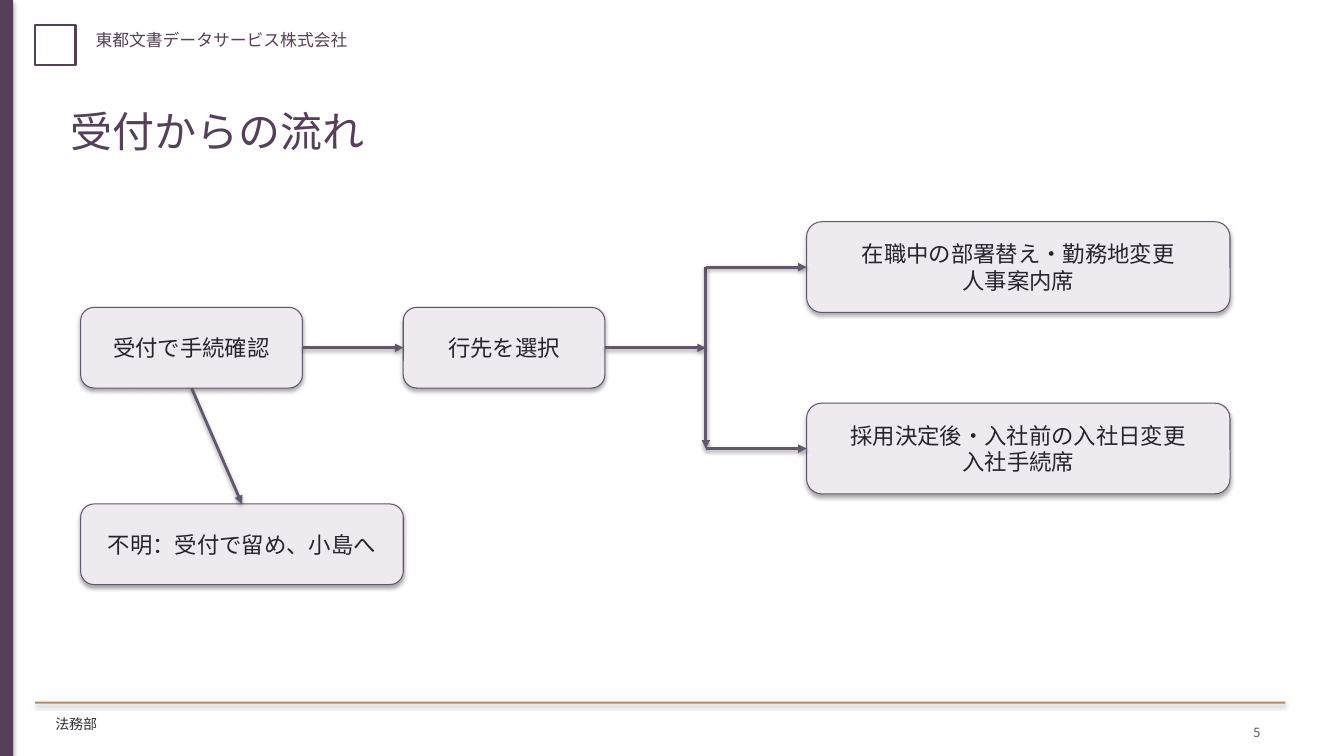
from dataclasses import dataclass
from typing import Optional

import pptx
import pptx.dml.color
import pptx.enum.shapes
import pptx.enum.text
import pptx.oxml.ns
import pptx.util
from lxml import etree

PX = 9144  # EMU; 100 px to the inch
ALIGN = pptx.enum.text.PP_ALIGN
ANCHOR = pptx.enum.text.MSO_ANCHOR
SHAPE = pptx.enum.shapes.MSO_SHAPE
TOP, LEFT, BOTTOM, RIGHT = range(4)


@dataclass(frozen=True)
class Theme:
    font: str = "Noto Sans CJK JP"
    plum: str = "563F58"
    tan: str = "B28B65"
    slate: str = "62586B"
    pale: str = "EEEAF0"
    ink: str = "29232D"
    footer: str = "302F33"
    title_size: int = 30
    box_size: int = 16
    company_size: int = 12
    footer_size: int = 10
    number_size: int = 9


@dataclass(frozen=True)
class Area:
    left: int
    top: int
    width: int
    height: int

    def emu(self) -> list[int]:
        return [n * PX for n in (self.left, self.top, self.width, self.height)]


@dataclass(frozen=True)
class Step:
    name: str
    area: Area
    lines: tuple[str, ...]


@dataclass(frozen=True)
class Label:
    text: str
    area: Area
    size: int
    color: str
    align: ALIGN = ALIGN.LEFT


@dataclass(frozen=True)
class Arrow:
    start: tuple[int, int]
    end: tuple[int, int]
    source: Optional[tuple[str, int]] = None
    target: Optional[tuple[str, int]] = None


THEME = Theme()
TITLE = Label("受付からの流れ", Area(60, 100, 1200, 100), THEME.title_size, THEME.plum)
LABELS = (
    Label("東都文書データサービス株式会社", Area(85, 25, 1000, 40),
          THEME.company_size, THEME.plum),
    Label("法務部", Area(45, 705, 1000, 30), THEME.footer_size, THEME.footer),
    Label("5", Area(1200, 714, 60, 20), THEME.number_size, THEME.slate, ALIGN.RIGHT),
)
BARS = (
    (Area(0, 0, 13, 750), THEME.plum),
    (Area(35, 696, 1240, 2), THEME.tan),
)
STEPS = (
    Step("reception", Area(80, 305, 220, 80), ("受付で手続確認",)),
    Step("choice", Area(400, 305, 200, 80), ("行先を選択",)),
    Step("transfer", Area(800, 220, 420, 90),
         ("在職中の部署替え・勤務地変更", "人事案内席")),
    Step("joining", Area(800, 400, 420, 90),
         ("採用決定後・入社前の入社日変更", "入社手続席")),
    Step("unknown", Area(80, 500, 320, 80), ("不明：受付で留め、小島へ",)),
)
ARROWS = (
    Arrow((300, 345), (400, 345), ("reception", RIGHT), ("choice", LEFT)),
    Arrow((600, 345), (700, 345), ("choice", RIGHT)),
    Arrow((700, 265), (700, 445)),
    Arrow((700, 265), (800, 265), target=("transfer", LEFT)),
    Arrow((700, 445), (800, 445), target=("joining", LEFT)),
    Arrow((190, 385), (190, 500), ("reception", BOTTOM), ("unknown", TOP)),
)


def rgb(color: str) -> pptx.dml.color.RGBColor:
    return pptx.dml.color.RGBColor.from_string(color)


def write(frame, lines: tuple[str, ...], size: int, color: str, align: ALIGN) -> None:
    for index, line in enumerate(lines):
        para = frame.paragraphs[0] if index == 0 else frame.add_paragraph()
        para.alignment = align
        span = para.add_run()
        span.text = line
        formats = {"name": THEME.font, "size": pptx.util.Pt(size)}
        for name, value in formats.items():
            setattr(span.font, name, value)
        span.font.color.rgb = rgb(color)


def fill_label(shape, label: Label) -> None:
    formats = {
        "word_wrap": False,
        "vertical_anchor": ANCHOR.TOP,
        "auto_size": pptx.enum.text.MSO_AUTO_SIZE.SHAPE_TO_FIT_TEXT,
    }
    for name, value in formats.items():
        setattr(shape.text_frame, name, value)
    write(shape.text_frame, (label.text,), label.size, label.color, label.align)


def add_title(page, label: Label) -> None:
    title = page.shapes.title
    for name, value in zip(("left", "top", "width", "height"), label.area.emu()):
        setattr(title, name, value)
    fill_label(title, label)


def add_mark(page) -> None:
    """Put a plain outlined square beside the company name."""
    mark = page.shapes.add_shape(SHAPE.RECTANGLE, *Area(35, 25, 40, 40).emu())
    mark.shadow.inherit = False
    mark.fill.background()
    mark.line.color.rgb = rgb(THEME.plum)
    mark.line.width = pptx.util.Pt(1.5)


def add_bar(page, area: Area, color: str) -> None:
    bar = page.shapes.add_shape(SHAPE.RECTANGLE, *area.emu())
    bar.fill.solid()
    bar.fill.fore_color.rgb = rgb(color)
    bar.line.fill.background()


def add_step(page, step: Step):
    """Draw a rounded box that keeps the theme's soft shadow."""
    box = page.shapes.add_shape(SHAPE.ROUNDED_RECTANGLE, *step.area.emu())
    box.fill.solid()
    box.fill.fore_color.rgb = rgb(THEME.pale)
    box.line.color.rgb = rgb(THEME.slate)
    box.line.width = pptx.util.Pt(0.75)
    box.text_frame.vertical_anchor = ANCHOR.MIDDLE
    write(box.text_frame, step.lines, THEME.box_size, THEME.ink, ALIGN.CENTER)
    return box


def add_arrow(page, arrow: Arrow, boxes: dict) -> None:
    """Draw an arrow that keeps the theme's soft shadow."""
    ends = [n * PX for n in arrow.start + arrow.end]
    line = page.shapes.add_connector(
        pptx.enum.shapes.MSO_CONNECTOR.STRAIGHT, *ends)
    line.line.color.rgb = rgb(THEME.slate)
    line.line.width = pptx.util.Pt(2)
    etree.SubElement(line.line._get_or_add_ln(),
                     pptx.oxml.ns.qn("a:tailEnd"), type="triangle")
    if arrow.source:
        name, side = arrow.source
        line.begin_connect(boxes[name], side)
    if arrow.target:
        name, side = arrow.target
        line.end_connect(boxes[name], side)


def main() -> None:
    deck = pptx.Presentation()
    deck.slide_width, deck.slide_height = 1333 * PX, 750 * PX
    page = deck.slides.add_slide(deck.slide_layouts.get_by_name("Title Only"))
    add_mark(page)
    for area, color in BARS:
        add_bar(page, area, color)
    add_title(page, TITLE)
    boxes = {step.name: add_step(page, step) for step in STEPS}
    for arrow in ARROWS:
        add_arrow(page, arrow, boxes)
    for label in LABELS:
        fill_label(page.shapes.add_textbox(*label.area.emu()), label)
    deck.save("out.pptx")


if __name__ == "__main__":
    main()
